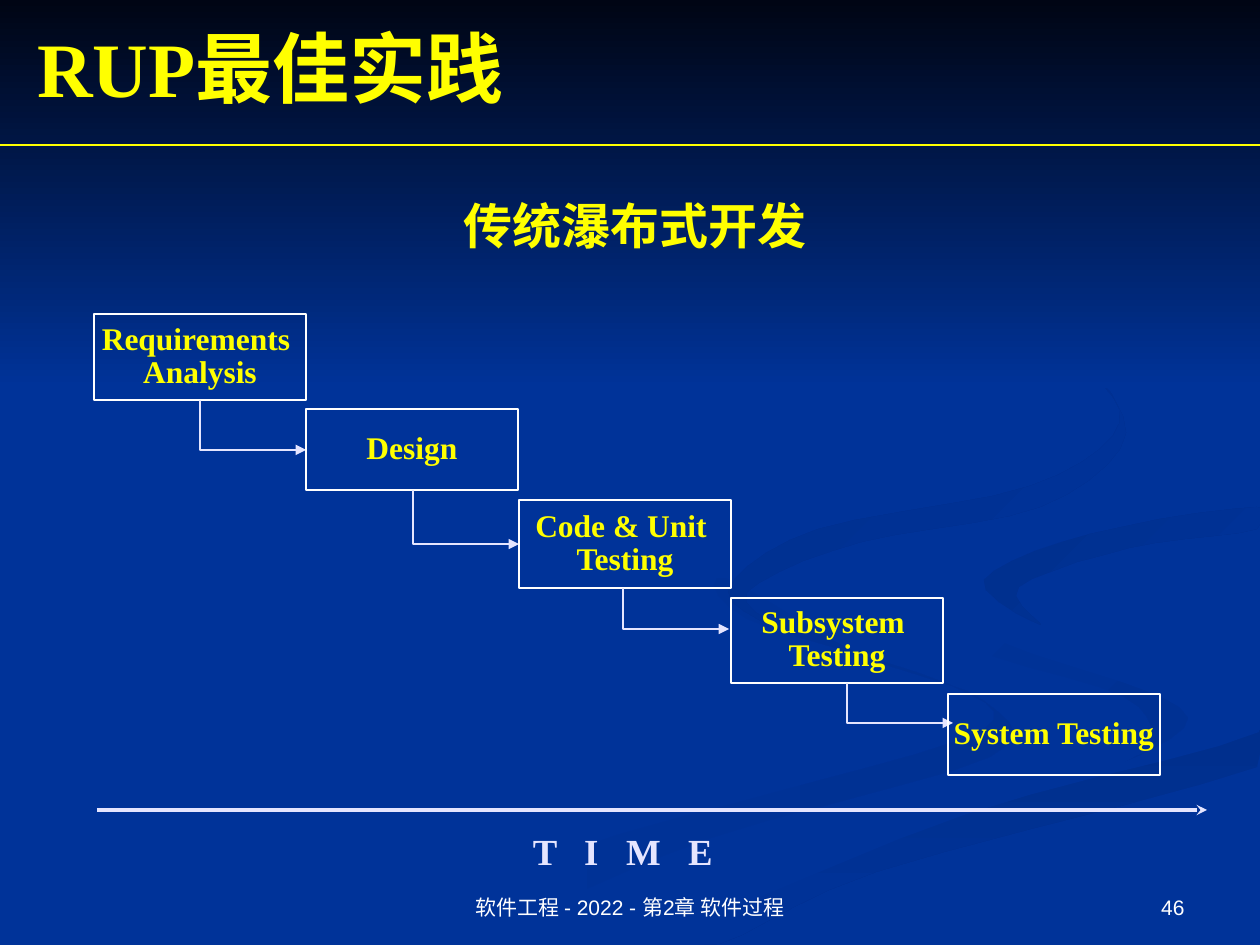
import pptx
import pptx.dml.color
import pptx.enum.shapes
import pptx.enum.text
import pptx.oxml
import pptx.oxml.ns
import pptx.util
from dataclasses import dataclass

PX = 9144000 / 1260
ALIGN = pptx.enum.text.PP_ALIGN
ANCHOR = pptx.enum.text.MSO_ANCHOR
CONNECTOR = pptx.enum.shapes.MSO_CONNECTOR
RECTANGLE = pptx.enum.shapes.MSO_SHAPE.RECTANGLE


@dataclass(frozen=True)
class Theme:
    blue: str = "003399"
    shade: str = "003193"
    deep: str = "002F8D"
    night: str = "000514"
    yellow: str = "FFFF00"
    white: str = "FFFFFF"
    pale: str = "E5E5FF"
    serif: str = "Times New Roman"
    sans: str = "Arial"
    heading: float = 44
    title: float = 28
    axis: float = 21
    step: float = 18
    footer: float = 12


THEME = Theme()

# Ribbons of the backdrop: key points of the outline, gradient colours, clockwise angle
RIBBONS = [
    ([(984, 701), (859, 654), (725, 578), (747, 619), (948, 684), (983, 730), (776, 792),
      (577, 849), (378, 944), (455, 944), (711, 838), (990, 757)], THEME.blue, THEME.shade, 0),
    ([(1188, 718), (1096, 668), (955, 627), (912, 585), (965, 645), (1124, 697),
      (1152, 742), (1126, 762)], THEME.blue, THEME.shade, 45),
    ([(634, 944), (719, 944), (876, 872), (1257, 767), (1257, 732), (963, 815), (794, 873)],
     THEME.deep, THEME.blue, 90),
    ([(914, 585), (999, 641), (1183, 709), (1124, 762), (887, 825), (601, 944), (654, 941),
      (964, 815), (1259, 732), (1259, 678), (1048, 627), (984, 580), (1259, 507),
      (1259, 488), (993, 532)], THEME.blue, THEME.blue, 0),
    ([(984, 580), (1041, 625), (1019, 587), (1129, 548), (1257, 529), (1257, 507),
      (1090, 534)], THEME.deep, THEME.blue, 45),
    ([(861, 542), (1040, 507), (1126, 433), (1062, 346), (960, 294), (1066, 351), (1120, 422),
      (1030, 486), (818, 529), (728, 590), (784, 630), (747, 592)],
     THEME.deep, THEME.blue, 45),
]

# Waterfall steps: lines, left, top, height, then start and drop of the arrow below
STEP_WIDTH = 212
ARROW_RUN = 106
STEPS = [
    (["Requirements ", "Analysis"], 0, 0, 86, (106, 50)),
    (["Design"], 212, 95, 81, (319, 54)),
    (["Code & Unit ", "Testing"], 425, 186, 88, (529, 41)),
    (["Subsystem ", "Testing"], 637, 284, 85, (753, 40)),
    (["System Testing"], 854, 380, 81, None),
]


def emu(*lengths):
    return [round(length * PX) for length in lengths]


def rgb(color):
    return pptx.dml.color.RGBColor.from_string(color)


def smooth_outline(points, pieces=5):
    """Closed Catmull-Rom curve through the points, kept on the slide."""
    curve = []
    for index in range(len(points)):
        corners = [points[(index + shift) % len(points)] for shift in (-1, 0, 1, 2)]
        for piece in range(pieces):
            t = piece / pieces
            x, y = (b + t / 2 * (c - a + t * (2 * a - 5 * b + 4 * c - d
                                              + t * (3 * (b - c) + d - a)))
                    for a, b, c, d in zip(*corners))
            curve.append((min(x, 1260), min(y, 945)))
    return curve


def write(shape, lines, size, color, font=THEME.serif, bold=True, align=ALIGN.LEFT,
          anchor=ANCHOR.TOP, wrap=True, inset=None, line_spacing=None, tracking=None):
    frame = shape.text_frame
    frame.auto_size = pptx.enum.text.MSO_AUTO_SIZE.NONE
    frame.word_wrap = wrap
    frame.vertical_anchor = anchor
    if inset:
        frame.margin_left, frame.margin_top = frame.margin_right, frame.margin_bottom = emu(*inset)
    frame.text = "\n".join(lines)
    for paragraph in frame.paragraphs:
        paragraph.alignment = align
        paragraph.line_spacing = line_spacing
        for run in paragraph.runs:
            run.font.name, run.font.bold = font, bold
            run.font.size = pptx.util.Pt(size)
            run.font.color.rgb = rgb(color)
            if tracking:
                run.font._element.set("spc", str(round(tracking * 100)))


def add_text(slide, box, lines, size, color, **style):
    write(slide.shapes.add_textbox(*emu(*box)), lines, size, color, **style)


def paint_gradient(shape, start, end, angle):
    shape.shadow.inherit = False
    shape.line.fill.background()
    shape.fill.gradient()
    shape.fill.gradient_angle = (360 - angle) % 360
    for stop, color, position in zip(shape.fill.gradient_stops, (start, end), (0, 1)):
        stop.color.rgb = rgb(color)
        stop.position = position


def add_line(slide, ends, color, width, head=None, kind=CONNECTOR.STRAIGHT):
    connector = slide.shapes.add_connector(kind, *emu(*ends))
    connector.line.color.rgb = rgb(color)
    connector.line.width = pptx.util.Pt(width)
    if head:
        tail = pptx.oxml.parse_xml(f'<a:tailEnd {pptx.oxml.ns.nsdecls("a")} type="{head}"/>')
        connector.line._get_or_add_ln().append(tail)
    properties = connector._element.spPr
    properties.append(pptx.oxml.parse_xml(f'<a:effectLst {pptx.oxml.ns.nsdecls("a")}/>'))
    return connector


def add_corner_arrow(slide, left, top, run, drop):
    """Arrow that goes down and then right: a two-part elbow, turned and flipped."""
    x, y = left + (run - drop) / 2, top + (drop - run) / 2
    arrow = add_line(slide, (x, y, x + drop, y + run), THEME.pale, 1.25, "triangle",
                     CONNECTOR.ELBOW)
    properties = arrow._element.spPr
    properties.find(pptx.oxml.ns.qn("a:prstGeom")).set("prst", "bentConnector2")
    properties.xfrm.set("rot", str(270 * 60000))
    properties.xfrm.set("flipH", "1")


def draw_backdrop(slide, width, band_height):
    slide.background.fill.solid()
    slide.background.fill.fore_color.rgb = rgb(THEME.blue)
    for points, start, end, angle in RIBBONS:
        outline = smooth_outline(points)
        builder = slide.shapes.build_freeform(*outline[0], scale=PX)
        builder.add_line_segments(outline[1:], close=True)
        paint_gradient(builder.convert_to_shape(), start, end, angle)
    band = slide.shapes.add_shape(RECTANGLE, *emu(0, 0, width, band_height))
    paint_gradient(band, THEME.night, THEME.blue, 90)


def draw_header(slide, left, top, width, height):
    add_text(slide, (left + 25, top + 18, width - 126, 97), ["RUP最佳实践"],
             THEME.heading, THEME.yellow, anchor=ANCHOR.MIDDLE)
    add_line(slide, (left, top + height, left + width, top + height), THEME.yellow, 0.75)
    title = slide.shapes.title
    title.left, title.top, title.width, title.height = emu(left + 64, top + height, 1142, 116)
    write(title, ["传统瀑布式开发"], THEME.title, THEME.yellow,
          align=ALIGN.CENTER, anchor=ANCHOR.BOTTOM)
    # Bring the title in front of the backdrop
    title.element.getparent().append(title.element)


def draw_waterfall(slide, left, top):
    for lines, x, y, height, arrow in STEPS:
        step = slide.shapes.add_shape(RECTANGLE, *emu(left + x, top + y, STEP_WIDTH, height))
        step.shadow.inherit = False
        step.fill.background()
        step.line.color.rgb = rgb(THEME.white)
        step.line.width = pptx.util.Pt(1)
        write(step, lines, THEME.step, THEME.yellow, align=ALIGN.CENTER, anchor=ANCHOR.MIDDLE,
              wrap=False, inset=(11, 5), line_spacing=0.87)
        if arrow:
            start, drop = arrow
            add_corner_arrow(slide, left + start, top + y + height, ARROW_RUN, drop)


def draw_time_axis(slide, left, top, width):
    add_line(slide, (left, top, left + width, top), THEME.pale, 2, "stealth")
    add_text(slide, (left + 425, top + 19, 203, 50), ["T I M E"], THEME.axis, THEME.pale,
             wrap=False, inset=(11, 5), line_spacing=0.9, tracking=5.25)


def draw_footer(slide, top, height):
    style = dict(font=THEME.sans, bold=False, anchor=ANCHOR.BOTTOM)
    add_text(slide, (402, top, 456, height), ["软件工程 - 2022 - 第2章 软件过程"],
             THEME.footer, THEME.white, align=ALIGN.CENTER, **style)
    add_text(slide, (903, top, 294, height), ["46"],
             THEME.footer, THEME.white, align=ALIGN.RIGHT, **style)


def main():
    presentation = pptx.Presentation()
    presentation.slide_width, presentation.slide_height = emu(1260, 945)
    slide = presentation.slides.add_slide(presentation.slide_layouts[5])
    draw_backdrop(slide, 1260, 388)
    draw_header(slide, 0, 0, 1260, 145)
    draw_waterfall(slide, 94, 314)
    draw_time_axis(slide, 97, 810, 1110)
    draw_footer(slide, 861, 65)
    presentation.save("out.pptx")


if __name__ == "__main__":
    main()
